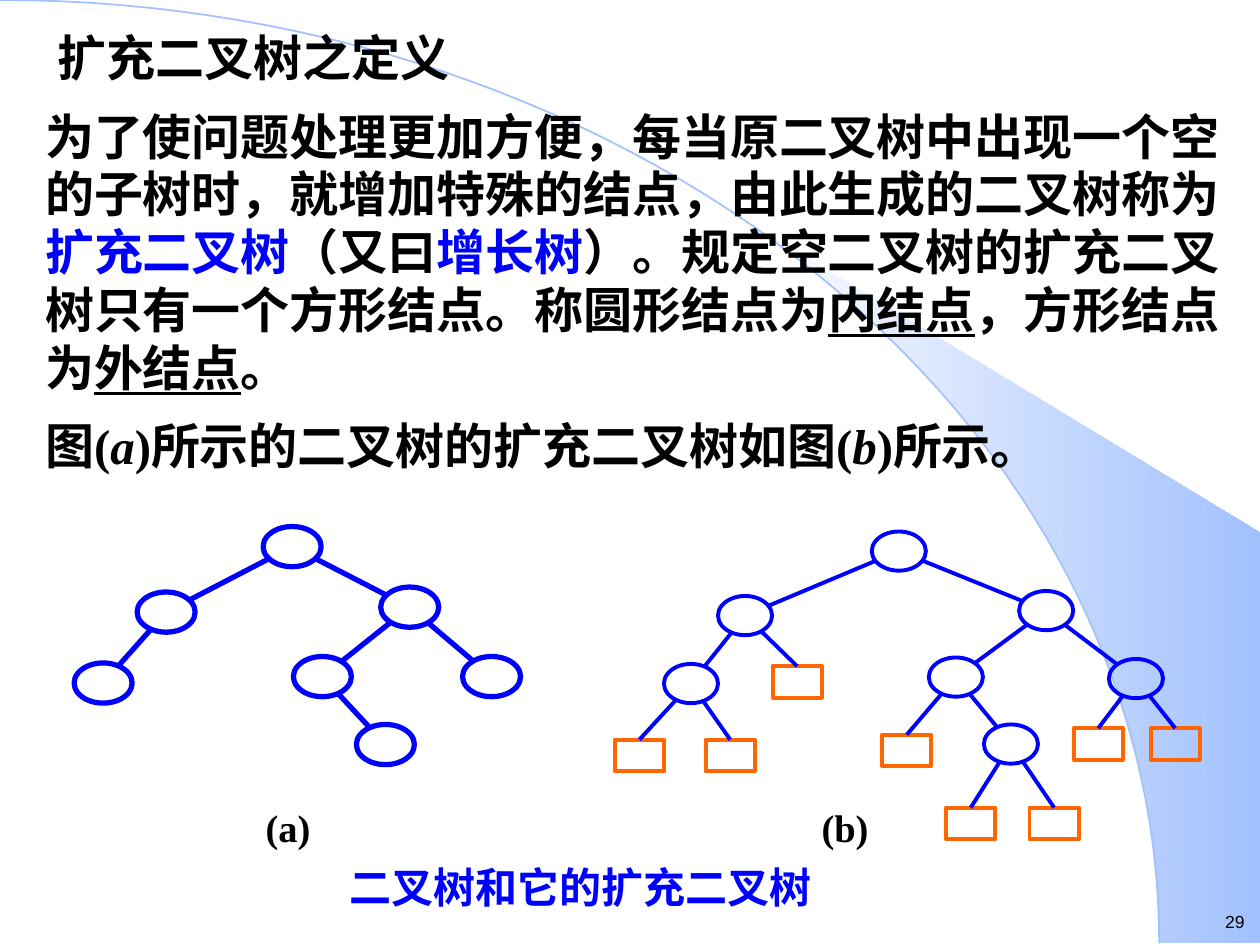
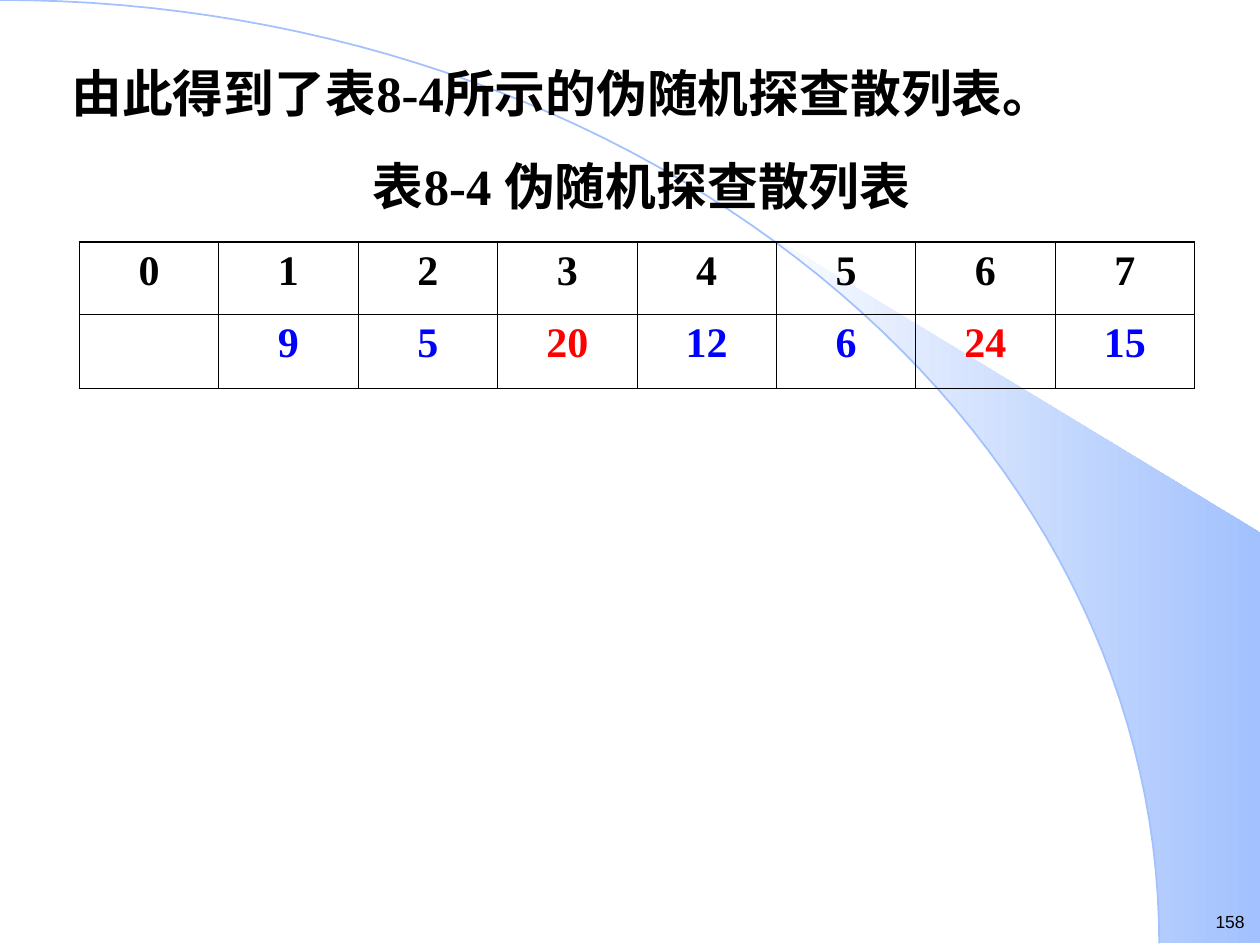
"""Builds two lecture slides: extended binary trees and a pseudo-random probing hash table."""
import math
from dataclasses import dataclass

from lxml import etree
from pptx import Presentation
from pptx import util as u
from pptx.dml.color import RGBColor
from pptx.enum import shapes, text
from pptx.oxml.ns import qn


@dataclass(frozen=True)
class Theme:
    """Colours, fonts and type sizes shared by the slides."""
    black: str = "000000"
    blue: str = "0000FF"
    red: str = "FF0000"
    orange: str = "FF6600"
    white: str = "FFFFFF"
    band: str = "A2C1FE"
    serif: str = "Times New Roman"
    sans: str = "Arial"
    definition: float = 28
    statement: float = 29
    caption: float = 24
    label: float = 22
    number: float = 10


THEME = Theme()
LEFT, CENTER, RIGHT = text.PP_ALIGN.LEFT, text.PP_ALIGN.CENTER, text.PP_ALIGN.RIGHT
WIDTH, HEIGHT = 25.4, 19.05
ARC_WIDTH, ARC_HEIGHT = 23.37, 19.02

DEFINITION = [
    [("为了使问题处理更加方便，每当原二叉树中出现一个空的子树时，就增加特殊的结点，由此生成的二叉树称为", {}),
     ("扩充二叉树", {"color": THEME.blue}),
     ("（又曰", {}),
     ("增长树", {"color": THEME.blue}),
     ("）。规定空二叉树的扩充二叉树只有一个方形结点。称圆形结点为", {}),
     ("内结点", {"underline": True}),
     ("，方形结点为", {}),
     ("外结点", {"underline": True}),
     ("。", {})],
    [("图(", {}), ("a", {"italic": True}),
     (")所示的二叉树的扩充二叉树如图(", {}), ("b", {"italic": True}),
     (")所示。", {})],
]

# Node keys spell the way from the root: L for left child, R for right child.
BINARY_TREE = {
    "": (5.89, 11.02), "L": (3.35, 12.34), "LL": (2.08, 13.77), "R": (8.26, 12.24),
    "RL": (6.5, 13.64), "RR": (9.91, 13.64), "RLR": (7.77, 15.01),
}
EXTENDED_TREE = {
    "": (18.12, 11.11), "L": (15.02, 12.41), "LL": (13.93, 13.78), "R": (21.09, 12.31),
    "RL": (19.27, 13.65), "RR": (22.9, 13.68), "RLR": (20.38, 15),
}
EXTERNAL_NODES = {
    "LLL": (12.89, 15.23), "LLR": (14.72, 15.23), "LR": (16.07, 13.75),
    "RLL": (18.28, 15.13), "RLRL": (19.57, 16.6), "RLRR": (21.25, 16.6),
    "RRL": (22.14, 15), "RRR": (23.69, 15),
}
HASH_TABLE = ["", "9", "5", "20", "12", "6", "24", "15"]
COLLIDED = {"20", "24"}


def rgb(color):
    """Return the colour object for a hex string."""
    return RGBColor.from_string(color)


def style_font(font, size, color=THEME.black, name=THEME.serif, bold=True,
               italic=False, underline=False):
    """Apply one complete type style to a font."""
    font.name, font.size, font.bold = name, u.Pt(size), bold
    font.italic, font.underline = italic, underline
    font.color.rgb = rgb(color)


def place(shape, left, top, width, height):
    """Move and size a shape, in centimetres."""
    shape.left, shape.top = u.Cm(left), u.Cm(top)
    shape.width, shape.height = u.Cm(width), u.Cm(height)


def write(shape, paragraphs, size, alignment=LEFT, insets=(0, 0), spacing=1.0,
          gap=0, **style):
    """Fill a shape with paragraphs made of (words, run style) pairs."""
    frame = shape.text_frame
    frame.word_wrap = True
    frame.auto_size = text.MSO_AUTO_SIZE.NONE
    frame.vertical_anchor = text.MSO_ANCHOR.TOP
    frame.margin_left = frame.margin_right = u.Cm(insets[0])
    frame.margin_top = frame.margin_bottom = u.Cm(insets[1])
    for index, pieces in enumerate(paragraphs):
        paragraph = frame.add_paragraph() if index else frame.paragraphs[0]
        properties = paragraph._p.get_or_add_pPr()
        properties.set("marL", "0")
        properties.set("indent", "0")
        etree.SubElement(properties, qn("a:buNone"))
        paragraph.alignment = alignment
        paragraph.line_spacing = spacing
        paragraph.space_before = u.Pt(gap if index else 0)
        for words, run_style in pieces:
            run = paragraph.add_run()
            run.text = words
            style_font(run.font, size, **{**style, **run_style})


def add_label(slide, words, box, size, **options):
    """Add a one-paragraph text box."""
    shape = slide.shapes.add_textbox(0, 0, 0, 0)
    place(shape, *box)
    write(shape, [[(words, {})]], size, **options)


def arc_points(start, steps=60):
    """Return points on the quarter ellipse from an angle to its right end."""
    angles = [start + (math.pi / 2 - start) * step / steps for step in range(steps + 1)]
    return [(u.Cm(ARC_WIDTH * math.sin(angle)), u.Cm(ARC_HEIGHT * (1 - math.cos(angle))))
            for angle in angles]


def add_outline(slide, points, closed):
    """Build a freeform through the points."""
    builder = slide.shapes.build_freeform(*points[0])
    builder.add_line_segments(points[1:], close=closed)
    shape = builder.convert_to_shape()
    shape.shadow.inherit = False
    return shape


def add_background(slide, layout):
    """Draw the arc and the shaded wedge, and hand them to the layout."""
    corners = [(u.Cm(WIDTH), u.Cm(ARC_HEIGHT)), (u.Cm(WIDTH), u.Cm(10.74))]
    wedge = add_outline(slide, arc_points(math.asin(0.64)) + corners, True)
    wedge.line.fill.background()
    wedge.fill.gradient()
    wedge.fill.gradient_angle = 0
    for stop, color in zip(wedge.fill.gradient_stops, (THEME.white, THEME.band)):
        stop.color.rgb = rgb(color)
    arc = add_outline(slide, arc_points(0), False)
    arc.fill.background()
    arc.line.color.rgb = rgb(THEME.band)
    arc.line.width = u.Pt(1)
    for shape in (wedge, arc):
        layout.shapes.element.append(shape.element)


def add_page_number(slide, number):
    """Add the page number at the lower right."""
    add_label(slide, number, (23.9, 18.24, 1.24, 0.69), THEME.number, alignment=RIGHT,
              insets=(0.05, 0.13), name=THEME.sans, bold=False)


def add_node(slide, kind, center, size, color, weight):
    """Add an unfilled tree node around its centre."""
    shape = slide.shapes.add_shape(kind, 0, 0, 0, 0)
    place(shape, center[0] - size[0] / 2, center[1] - size[1] / 2, *size)
    shape.shadow.inherit = False
    shape.fill.background()
    shape.line.color.rgb = rgb(color)
    shape.line.width = u.Pt(weight)
    return shape


def rim_point(center, size, target):
    """Return where an ellipse's rim faces a target point."""
    across = (target[0] - center[0]) / size[0]
    down = (target[1] - center[1]) / size[1]
    reach = 2 * math.hypot(across, down)
    return center[0] + size[0] * across / reach, center[1] + size[1] * down / reach


def add_edge(slide, start, end, weight):
    """Add a tree edge between two points in centimetres."""
    connector = slide.shapes.add_connector(
        shapes.MSO_CONNECTOR.STRAIGHT, *(u.Cm(length) for length in (*start, *end)))
    connector.line.color.rgb = rgb(THEME.blue)
    connector.line.width = u.Pt(weight)
    etree.SubElement(connector.element.spPr, qn("a:effectLst"))
    return connector


def add_tree(slide, internal, size, weight, external=None):
    """Draw round internal nodes, square external nodes and their edges."""
    square = (0.99, 0.64)
    for key, center in internal.items():
        add_node(slide, shapes.MSO_SHAPE.OVAL, center, size, THEME.blue, weight)
        if key:
            parent = internal[key[:-1]]
            add_edge(slide, rim_point(parent, size, center),
                     rim_point(center, size, parent), weight)
    for key, center in (external or {}).items():
        node = add_node(slide, shapes.MSO_SHAPE.RECTANGLE, center, square,
                        THEME.orange, weight)
        top = (center[0], center[1] - square[1] / 2)
        edge = add_edge(slide, rim_point(internal[key[:-1]], size, top), top, weight)
        edge.end_connect(node, 0)


def set_borders(cell, weights):
    """Draw the four cell borders, weights given in points by side."""
    properties = cell._tc.get_or_add_tcPr()
    for side in "LRTB":
        line = etree.SubElement(properties, qn(f"a:ln{side}"), w=str(u.Pt(weights[side])))
        fill = etree.SubElement(line, qn("a:solidFill"))
        etree.SubElement(fill, qn("a:srgbClr"), val=THEME.black)


def add_hash_table(slide):
    """Add the table of addresses and stored keys."""
    rows = [[str(address) for address in range(len(HASH_TABLE))], HASH_TABLE]
    last = len(HASH_TABLE) - 1
    thin, thick = 0.45, 1.08
    table = slide.shapes.add_table(2, last + 1, u.Cm(1.6), u.Cm(4.88),
                                   u.Cm(22.48), u.Cm(2.95)).table
    table.first_row = table.horz_banding = False
    for row, height in zip(table.rows, (1.45, 1.5)):
        row.height = u.Cm(height)
    for row, values in enumerate(rows):
        for column, value in enumerate(values):
            cell = table.cell(row, column)
            set_borders(cell, {"L": thin if column else thick,
                               "R": thick if column == last else thin,
                               "T": thin if row else thick,
                               "B": thick if row else thin})
            cell.fill.background()
            cell.text_frame.text = value
            paragraph = cell.text_frame.paragraphs[0]
            paragraph.alignment = CENTER
            stored = THEME.red if value in COLLIDED else THEME.blue
            style_font(paragraph.font, THEME.caption, stored if row else THEME.black)


def build_tree_slide(slide):
    """Define the extended binary tree and show an example."""
    title, body = slide.placeholders
    place(title, 0.71, 0.43, 24.1, 1.6)
    write(title, [[("扩充二叉树之定义", {})]], THEME.definition, insets=(0.45, 0.13))
    place(body, 0.71, 2.03, 24.1, 7.7)
    write(body, DEFINITION, THEME.definition, insets=(0.2, 0.13),
          spacing=u.Pt(33), gap=12)
    add_tree(slide, BINARY_TREE, (1.17, 0.81), 3)
    add_tree(slide, EXTENDED_TREE, (1.09, 0.79), 2.25, EXTERNAL_NODES)
    add_label(slide, "二叉树和它的扩充二叉树", (6.91, 17.53, 9.6, 0.74), THEME.caption,
              alignment=CENTER, spacing=u.Pt(24), color=THEME.blue)
    for words, left in (("(a)", 5.26), ("(b)", 16.49)):
        add_label(slide, words, (left, 16.38, 1.09, 0.74), THEME.label,
                  alignment=CENTER, spacing=0.8)


def build_hash_slide(slide):
    """Show the pseudo-random probing hash table."""
    title, body = slide.placeholders
    place(body, 1.19, 1.12, 23.5, 1.6)
    write(body, [[("由此得到了表8-4所示的伪随机探查散列表。", {})]], THEME.statement,
          insets=(0.25, 0.13))
    place(title, 1.19, 2.98, 23.5, 1.49)
    write(title, [[("表8-4 伪随机探查散列表", {})]], THEME.statement,
          alignment=CENTER, insets=(0.25, 0.13))
    add_hash_table(slide)


def main():
    """Build and save the presentation."""
    presentation = Presentation()
    presentation.slide_width, presentation.slide_height = u.Cm(WIDTH), u.Cm(HEIGHT)
    layout = presentation.slide_layouts[1]
    pages = ((build_tree_slide, "29"), (build_hash_slide, "158"))
    for index, (build, number) in enumerate(pages):
        slide = presentation.slides.add_slide(layout)
        if index == 0:
            add_background(slide, layout)
        build(slide)
        add_page_number(slide, number)
    presentation.save("out.pptx")


if __name__ == "__main__":
    main()
